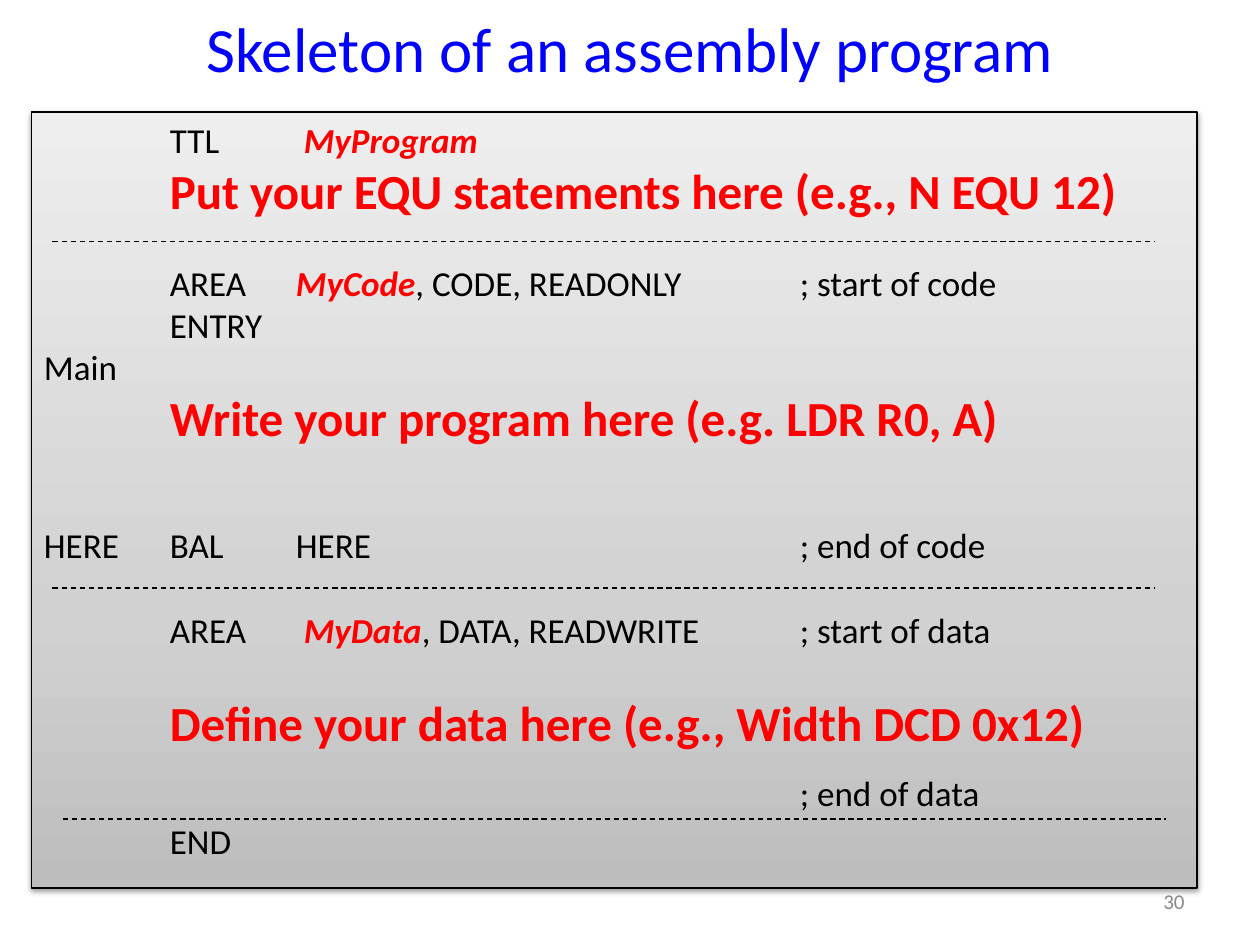
import pptx
import pptx.dml.color
import pptx.enum.dml
import pptx.enum.shapes
import pptx.enum.text
import pptx.oxml
import pptx.oxml.ns
import pptx.util

Pt = pptx.util.Pt
RGBColor = pptx.dml.color.RGBColor
PP_ALIGN = pptx.enum.text.PP_ALIGN
MSO_ANCHOR = pptx.enum.text.MSO_ANCHOR

BLUE = RGBColor(0x00, 0x00, 0xFF)
RED = RGBColor(0xFF, 0x00, 0x00)
BLACK = RGBColor(0x00, 0x00, 0x00)
GRAY = RGBColor(0x89, 0x89, 0x89)

CODE = {"size": Pt(20), "bold": False, "italic": False, "color": BLACK}
NAME = {"size": Pt(20), "bold": True, "italic": True, "color": RED}
HINT = {"size": Pt(28), "bold": True, "italic": False, "color": RED}
TITLE = {"size": Pt(36), "color": BLUE}
NUMBER = {"size": Pt(12), "color": GRAY}

LINES = [
    (0, [("\tTTL\t ", CODE), ("MyProgram", NAME)]),
    (0, [("\tPut your EQU statements here (e.g., N EQU 12)", HINT)]),
    (24.4, [("\tAREA\t", CODE), ("MyCode", NAME),
            (", CODE, READONLY\t; start of code", CODE)]),
    (0, [("\tENTRY", CODE)]),
    (0, [("Main", CODE)]),
    (0, [("\tWrite your program here (e.g. LDR R0, A)", HINT)]),
    (43.9, [("HERE\tBAL\tHERE\t; end of code", CODE)]),
    (24.4, [("\tAREA\t", CODE), (" MyData", NAME),
            (", DATA, READWRITE\t; start of data", CODE)]),
    (24.4, [("\tDefine your data here (e.g., Width DCD 0x12)", HINT)]),
    (11.4, [("\t\t\t; end of data", CODE)]),
    (3.2, [("\tEND", CODE)]),
]
TAB_STOPS = [72, 144, 432]
DIVIDERS = [(30, 138), (30, 336), (36, 468)]
DIVIDER_WIDTH = 630
STOPS = [(0, "BDBDBD"), (35, "D1D1D1"), (100, "EEEEEE")]


def xml(tag, body="", attrs=""):
    ns = pptx.oxml.ns.nsdecls("a")
    return pptx.oxml.parse_xml(f"<a:{tag} {ns} {attrs}>{body}</a:{tag}>")


def add_run(p, text, style):
    r = p.add_run()
    r.text = text
    r.font.name = "Calibri"
    for key, value in style.items():
        if key == "color":
            r.font.color.rgb = value
        else:
            setattr(r.font, key, value)


def place(sp, left, top, width, height):
    sp.left, sp.top, sp.width, sp.height = map(Pt, (left, top, width, height))


def add_title(s):
    sp = s.shapes.title
    place(sp, 36, 0, 648, 54)
    tf = sp.text_frame
    tf.vertical_anchor = MSO_ANCHOR.MIDDLE
    p = tf.paragraphs[0]
    p.alignment = PP_ALIGN.CENTER
    add_run(p, "Skeleton of an assembly program", TITLE)


def add_number(s):
    sp = s.shapes.add_textbox(Pt(516.2), Pt(500.4), Pt(167.8), Pt(28.8))
    tf = sp.text_frame
    tf.word_wrap = True
    tf.vertical_anchor = MSO_ANCHOR.MIDDLE
    p = tf.paragraphs[0]
    p.alignment = PP_ALIGN.RIGHT
    add_run(p, "30", NUMBER)


def add_listing(s):
    sp = s.shapes.add_shape(pptx.enum.shapes.MSO_SHAPE.RECTANGLE,
                            Pt(18), Pt(64), Pt(666), Pt(443.5))
    sp.line.color.rgb = BLACK
    sp.line.width = Pt(0.75)
    stops = "".join(f'<a:gs pos="{pos * 1000}"><a:srgbClr val="{color}"/></a:gs>'
                    for pos, color in STOPS)
    spPr = sp.element.spPr
    spPr.insert(2, xml("gradFill", f'<a:gsLst>{stops}</a:gsLst>'
                       '<a:lin ang="16200000" scaled="0"/>', 'rotWithShape="1"'))
    spPr.append(xml("effectLst", f'<a:outerShdw blurRad="{Pt(3.1)}" dist="{Pt(1.6)}" '
                    'dir="5400000" rotWithShape="0"><a:srgbClr val="000000">'
                    '<a:alpha val="38000"/></a:srgbClr></a:outerShdw>'))
    tf = sp.text_frame
    tf.word_wrap = True
    tf.vertical_anchor = MSO_ANCHOR.TOP
    tabs = "".join(f'<a:tab pos="{Pt(x)}" algn="l"/>' for x in TAB_STOPS)
    for i, (gap, runs) in enumerate(LINES):
        p = tf.add_paragraph() if i else tf.paragraphs[0]
        p.alignment = PP_ALIGN.LEFT
        p._p.get_or_add_pPr().append(xml("tabLst", tabs))
        p.space_before = Pt(gap)
        for text, style in runs:
            add_run(p, text, style)


def add_divider(s, x, y):
    line = s.shapes.add_connector(pptx.enum.shapes.MSO_CONNECTOR.STRAIGHT,
                                  Pt(x), Pt(y), Pt(x + DIVIDER_WIDTH), Pt(y))
    line.line.color.rgb = BLACK
    line.line.width = Pt(0.75)
    line.line.dash_style = pptx.enum.dml.MSO_LINE.DASH
    line.element.spPr.append(xml("effectLst"))


def main():
    prs = pptx.Presentation()
    prs.slide_width, prs.slide_height = Pt(720), Pt(540)
    s = prs.slides.add_slide(prs.slide_layouts[5])
    add_title(s)
    add_number(s)
    add_listing(s)
    for x, y in DIVIDERS:
        add_divider(s, x, y)
    prs.save("out.pptx")


if __name__ == "__main__":
    main()
